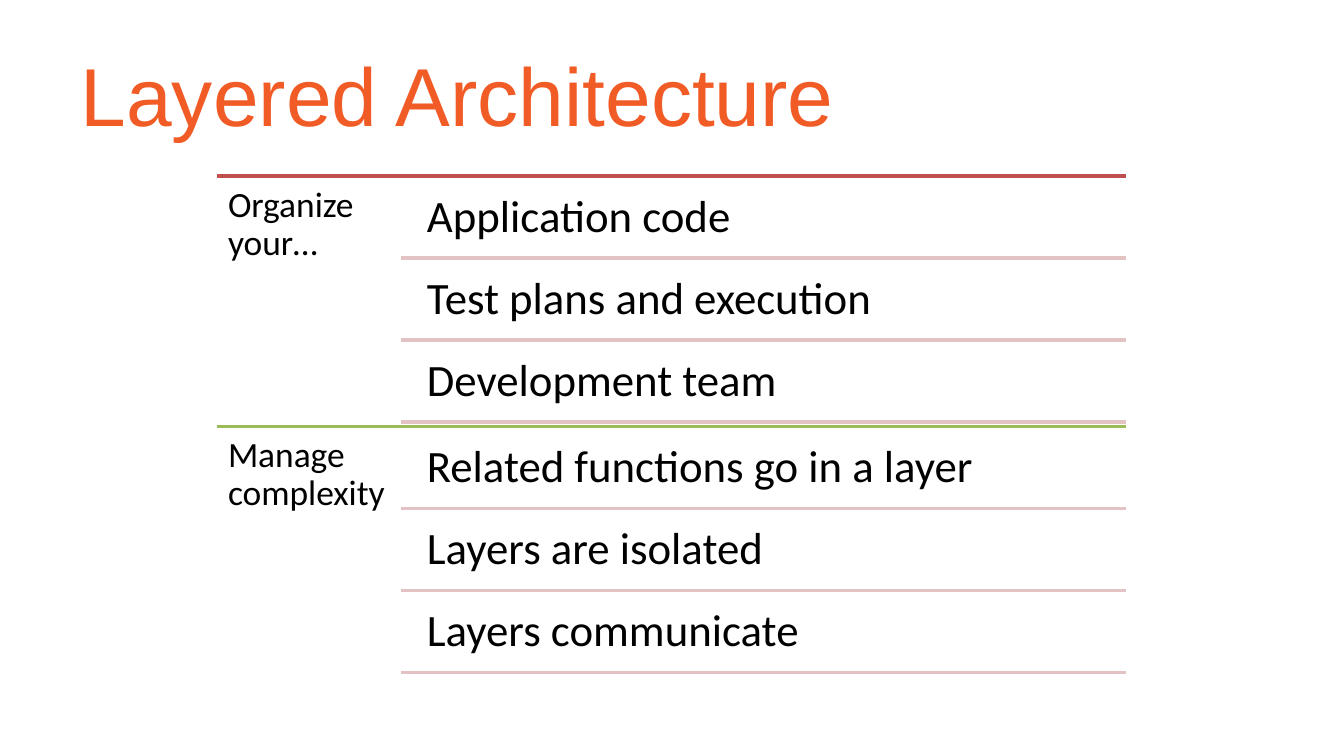
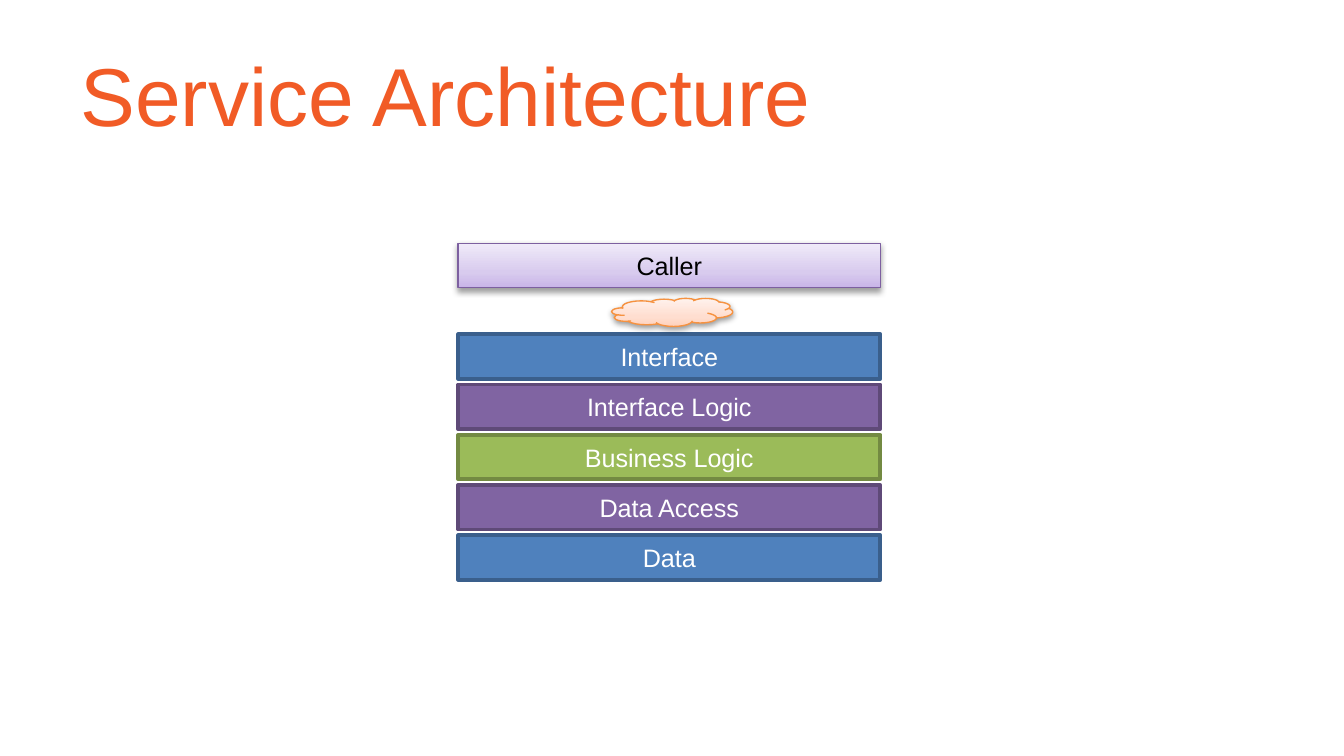
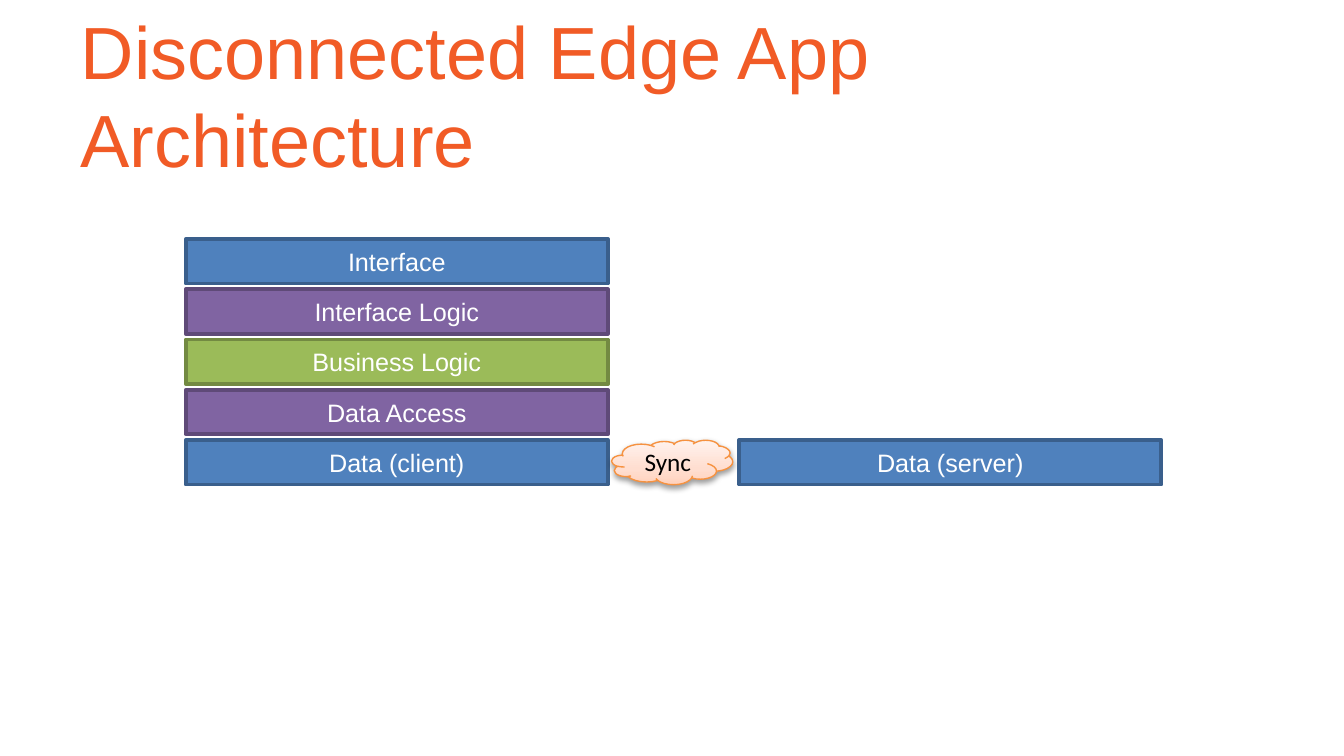
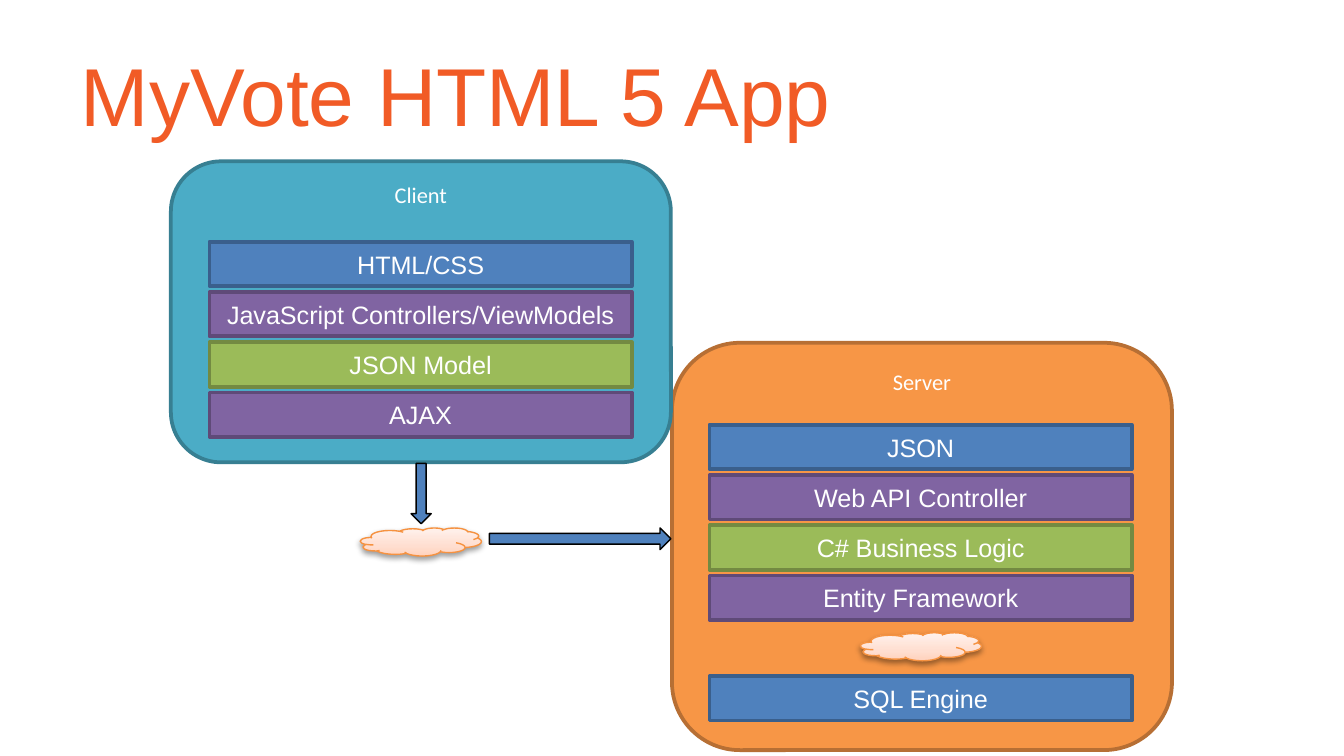
from copy import deepcopy
from dataclasses import dataclass

from lxml.etree import SubElement
from pptx import Presentation
from pptx.dml.color import RGBColor
from pptx.enum.shapes import MSO_CONNECTOR, MSO_SHAPE
from pptx.enum.text import MSO_ANCHOR, MSO_AUTO_SIZE, PP_ALIGN
from pptx.oxml.ns import qn
from pptx.util import Cm, Pt

TOPICS = [
    ("Organize your…", "C0504D",
     ["Application code", "Test plans and execution", "Development team"]),
    ("Manage complexity", "9BBB59",
     ["Related functions go in a layer", "Layers are isolated", "Layers communicate"]),
]
ROLES = ["edge", "logic", "business", "logic", "edge"]
SERVICE_LAYERS = ["Interface", "Interface Logic", "Business Logic", "Data Access", "Data"]
EDGE_LAYERS = SERVICE_LAYERS[:-1] + ["Data (client)"]
TIERS = [
    {"name": "Server", "role": "server", "box": (12.7, 6.48, 9.45, 7.7), "stack": (13.41, 8.03),
     "layers": ["JSON", "Web API Controller", "C# Business Logic", "Entity Framework"]},
    {"name": "Client", "role": "client", "box": (3.23, 3.05, 9.45, 5.69), "stack": (3.96, 4.57),
     "layers": ["HTML/CSS", "JavaScript Controllers/ViewModels", "JSON Model", "AJAX"]},
]
DATABASE = "SQL Engine"
FLOWS = [
    (MSO_SHAPE.DOWN_ARROW, (7.77, 8.76, 0.38, 1.14)),
    (MSO_SHAPE.RIGHT_ARROW, (9.25, 9.98, 3.43, 0.41)),
]


@dataclass(frozen=True)
class Theme:
    heading_font: str = "Arial"
    body_font: str = "Calibri"
    title_color: str = "F15B26"
    dark: str = "000000"
    light: str = "FFFFFF"
    divider: str = "E2C2C2"
    title_size: float = 44
    long_title_size: float = 39.6
    item_size: float = 24
    topic_size: float = 19
    layer_size: float = 13.5
    tier_size: float = 12
    thick: float = 2
    thin: float = 0.75


THEME = Theme()
ROLE_COLORS = {
    "edge": ("4F81BD", "3A5F8C"),
    "logic": ("8064A2", "5F4A78"),
    "business": ("9BBB59", "738A42"),
    "client": ("4BACC6", "377F92"),
    "server": ("F79646", "B76F34"),
    "flow": ("4F81BD", THEME.dark),
    "cloud": (("FFD2BD", "FFDED0", "FFF2ED"), "F69240"),
    "caller": (("C9B5E8", "D8CBEE", "F0EAF9"), "7D60A0"),
}
LAYER_WIDTH, LAYER_HEIGHT, LAYER_PITCH = 7.98, 0.84, 0.95
CLOUD_WIDTH, CLOUD_HEIGHT = 2.29, 0.53


def lengths(*values):
    return [Cm(value) for value in values]


def write(frame, words, font, size, color, align=PP_ALIGN.LEFT):
    frame.text = words
    paragraph = frame.paragraphs[0]
    paragraph.alignment = align
    for run in paragraph.runs:
        run.font.name = font
        run.font.size = Pt(size)
        run.font.color.rgb = RGBColor.from_string(color)
    return paragraph


def set_margins(frame, side, top):
    frame.margin_left = frame.margin_right = Cm(side)
    frame.margin_top = frame.margin_bottom = Cm(top)


def add_titled_slide(deck, words, size=THEME.title_size):
    slide = deck.slides.add_slide(deck.slide_layouts[5])
    title = slide.shapes.title
    title.left, title.top, title.width, title.height = lengths(1.27, 0.58, 22.86, 2.39)
    write(title.text_frame, words, THEME.heading_font, size, THEME.title_color)
    title.text_frame.vertical_anchor = MSO_ANCHOR.MIDDLE
    title.text_frame.auto_size = MSO_AUTO_SIZE.NONE
    return slide


def add_rule(slide, left, right, top, color):
    rule = slide.shapes.add_connector(MSO_CONNECTOR.STRAIGHT, *lengths(left, top, right, top))
    rule.line.color.rgb = RGBColor.from_string(color)
    rule.line.width = Pt(THEME.thick)
    SubElement(rule._element.spPr, qn("a:effectLst"))


def add_note(slide, words, box, size, margin):
    note = slide.shapes.add_textbox(*lengths(*box))
    note.text_frame.word_wrap = True
    set_margins(note.text_frame, margin, margin)
    write(note.text_frame, words, THEME.body_font, size, THEME.dark).line_spacing = 0.9


def fill_gradient(shape, colors):
    shape.fill.gradient()
    shape.fill.gradient_angle = 90
    stops = shape._element.spPr.find(qn("a:gradFill")).find(qn("a:gsLst"))
    stops.insert(1, deepcopy(stops[0]))
    for stop, position, color in zip(shape.fill.gradient_stops, (0, 0.35, 1), colors):
        stop.position = position
        stop.color.rgb = RGBColor.from_string(color)


def add_soft_shadow(shape):
    effects = shape._element.spPr.find(qn("a:effectLst"))
    shadow = SubElement(effects, qn("a:outerShdw"), blurRad=str(Pt(3.1)), dist=str(Pt(1.6)),
                        dir="5400000", rotWithShape="0")
    color = SubElement(shadow, qn("a:srgbClr"), val=THEME.dark)
    SubElement(color, qn("a:alpha"), val="38000")


def add_block(slide, preset, box, role, width=THEME.thick):
    block = slide.shapes.add_shape(preset, *lengths(*box))
    fill, outline = ROLE_COLORS[role]
    block.shadow.inherit = False
    block.line.color.rgb = RGBColor.from_string(outline)
    block.line.width = Pt(width)
    if isinstance(fill, tuple):
        fill_gradient(block, fill)
        add_soft_shadow(block)
    else:
        block.fill.solid()
        block.fill.fore_color.rgb = RGBColor.from_string(fill)
    return block


def add_layer(slide, words, left, top, role, color=THEME.light, width=THEME.thick):
    layer = add_block(slide, MSO_SHAPE.RECTANGLE, (left, top, LAYER_WIDTH, LAYER_HEIGHT), role, width)
    frame = layer.text_frame
    frame.word_wrap = False
    frame.vertical_anchor = MSO_ANCHOR.MIDDLE
    set_margins(frame, 0.15, 0.08)
    write(frame, words, THEME.heading_font, THEME.layer_size, color, PP_ALIGN.CENTER)


def add_stack(slide, layers, left, top):
    for index, (words, role) in enumerate(zip(layers, ROLES)):
        add_layer(slide, words, left, top + index * LAYER_PITCH, role)


def add_cloud(slide, left, top, height=CLOUD_HEIGHT):
    return add_block(slide, MSO_SHAPE.CLOUD, (left, top, CLOUD_WIDTH, height), "cloud", THEME.thin)


def build_layered(deck):
    slide = add_titled_slide(deck, "Layered Architecture")
    left, item_left, right = 4.11, 7.57, 21.28
    topic_pitch, item_pitch, item_gap = 4.73, 1.55, 0.08
    for topic_index, (topic, color, items) in enumerate(TOPICS):
        top = 3.33 + topic_index * topic_pitch
        add_rule(slide, left, right, top, color)
        add_note(slide, topic, (left, top, 3.43, topic_pitch), THEME.topic_size, 0.2)
        for index, item in enumerate(items):
            item_top = top + index * item_pitch
            add_note(slide, item, (item_left + 0.25, item_top + item_gap, 13.46, 1.47),
                     THEME.item_size, 0.25)
            add_rule(slide, item_left, right, item_top + item_pitch, THEME.divider)


def build_service(deck):
    slide = add_titled_slide(deck, "Service Architecture")
    left = 8.66
    add_stack(slide, SERVICE_LAYERS, left, 6.32)
    add_cloud(slide, 11.56, 5.64)
    add_layer(slide, "Caller", left, 4.6, "caller", THEME.dark, THEME.thin)


def build_edge(deck):
    slide = add_titled_slide(deck, "Disconnected Edge App Architecture", THEME.long_title_size)
    top = 4.52
    data_top = top + (len(EDGE_LAYERS) - 1) * LAYER_PITCH
    add_stack(slide, EDGE_LAYERS, 3.51, top)
    sync = add_cloud(slide, 11.56, data_top, LAYER_HEIGHT)
    sync.text_frame.vertical_anchor = MSO_ANCHOR.MIDDLE
    write(sync.text_frame, "Sync", THEME.body_font, THEME.layer_size, THEME.dark, PP_ALIGN.CENTER)
    add_layer(slide, "Data (server)", 13.97, data_top, "edge")


def build_html_app(deck):
    slide = add_titled_slide(deck, "MyVote HTML 5 App")
    for tier in TIERS:
        panel = add_block(slide, MSO_SHAPE.ROUNDED_RECTANGLE, tier["box"], tier["role"])
        panel.text_frame.vertical_anchor = MSO_ANCHOR.TOP
        set_margins(panel.text_frame, 0.18, 0.1)
        write(panel.text_frame, tier["name"], THEME.body_font, THEME.tier_size, THEME.light,
              PP_ALIGN.CENTER)
    for tier in TIERS:
        add_stack(slide, tier["layers"], *tier["stack"])
    server_left, server_top = TIERS[0]["stack"]
    add_layer(slide, DATABASE, server_left, server_top + 5 * LAYER_PITCH, "edge")
    add_cloud(slide, 6.81, 9.98)
    add_cloud(slide, 16.26, 11.96)
    for preset, box in FLOWS:
        add_block(slide, preset, box, "flow", THEME.thin)


def main():
    deck = Presentation()
    deck.slide_width, deck.slide_height = lengths(25.4, 14.29)
    for build in (build_layered, build_service, build_edge, build_html_app):
        build(deck)
    deck.save("out.pptx")


if __name__ == "__main__":
    main()
